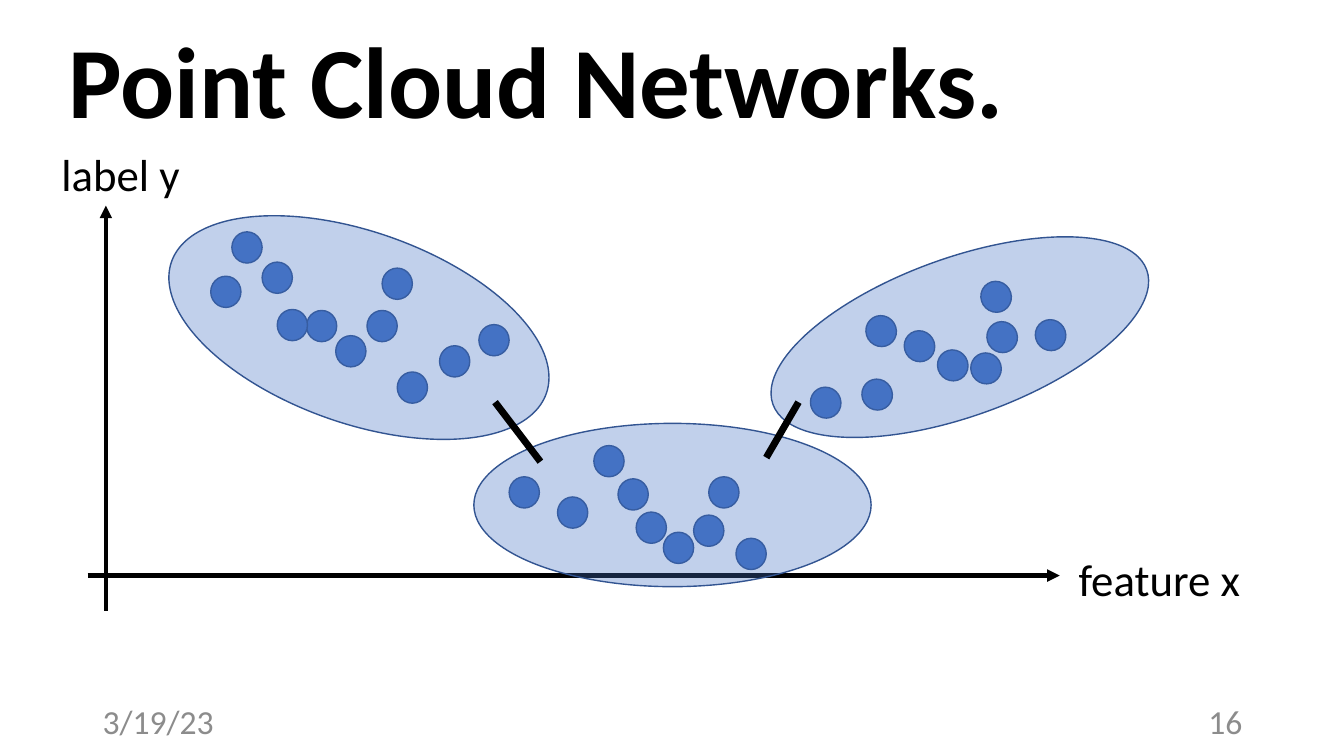
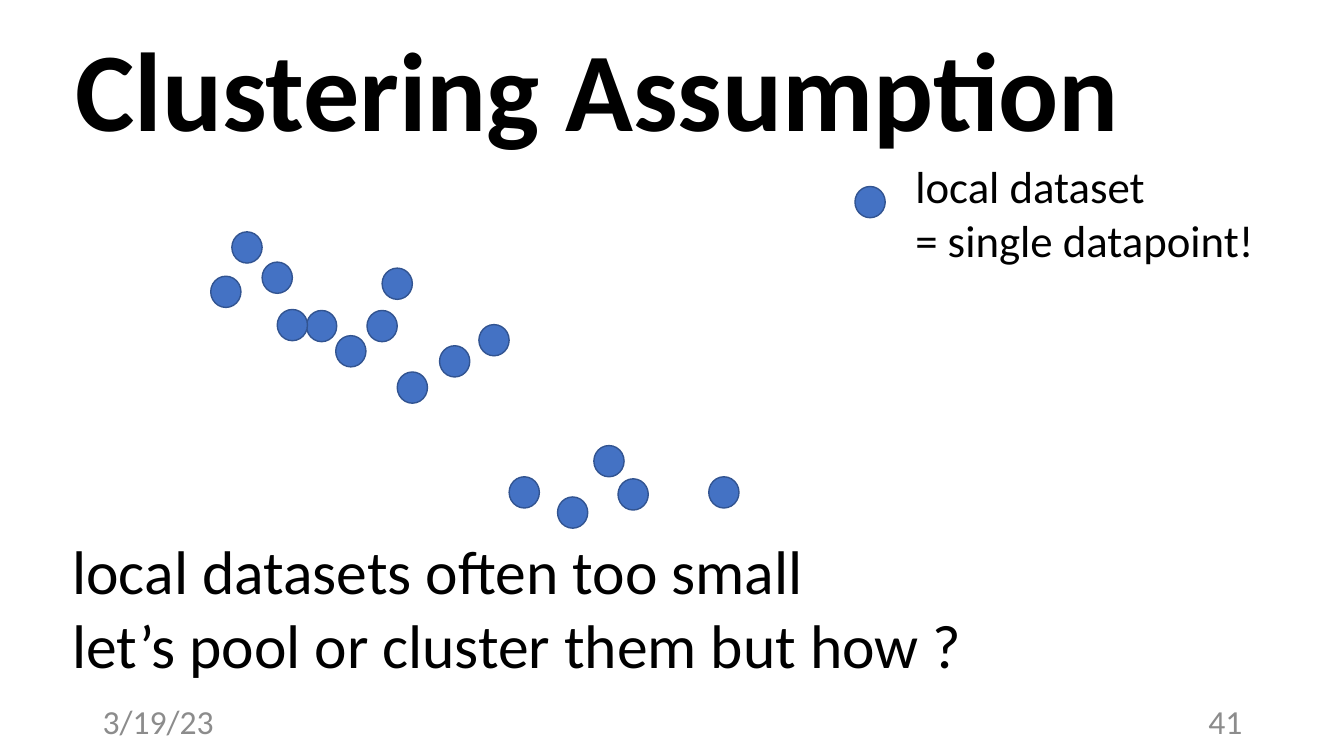
from lxml.etree import SubElement
from pptx import Presentation
from pptx.dml.color import RGBColor
from pptx.enum.shapes import MSO_CONNECTOR, MSO_SHAPE
from pptx.enum.text import MSO_ANCHOR, MSO_AUTO_SIZE, PP_ALIGN
from pptx.oxml.ns import qn
from pptx.util import Inches, Pt

COLORS = {"text": "000000", "footer": "8C8C8C", "point": "4472C4", "outline": "325491"}
FONT = "Calibri"
DATE = "3/19/23"
TITLE_ONLY = 5
POINT_SIZE = (0.3, 0.31)
CLUSTER_WIDTH = 3.94

# Top left corners of the points, in inches
LEFT_POINTS = [
    (2.09, 2.74), (3.04, 3.08), (3.94, 3.69), (4.75, 3.22), (3.64, 3.08), (2.6, 2.6),
    (4.36, 3.43), (3.79, 2.66), (2.3, 2.3), (2.75, 3.07), (3.33, 3.33),
]
MIDDLE_POINTS = [(5.05, 4.73), (5.89, 4.42), (7.03, 4.73), (5.53, 4.93), (6.13, 4.75)]
LOWER_POINTS = [(6.58, 5.28), (6.31, 5.08), (6.88, 5.11), (7.3, 5.34)]
RIGHT_POINTS = [
    (8.04, 3.84), (8.59, 3.13), (9.63, 3.5), (9.73, 2.79), (8.55, 3.76),
    (8.97, 3.28), (9.3, 3.47), (9.79, 3.19), (10.27, 3.17),
]


def color(name):
    return RGBColor.from_string(COLORS[name])


def format_text(frame, size, color_name="text", bold=False, align=PP_ALIGN.LEFT):
    for paragraph in frame.paragraphs:
        paragraph.alignment = align
        for span in paragraph.runs:
            span.font.name = FONT
            span.font.size = Pt(size)
            span.font.bold = bold
            span.font.color.rgb = color(color_name)


def add_text(page, text, left, top, width, height, size, **style):
    box = page.shapes.add_textbox(Inches(left), Inches(top), Inches(width), Inches(height))
    frame = box.text_frame
    frame.word_wrap = False
    frame.text = text
    format_text(frame, size, **style)
    return box


def add_footer(page, number):
    for text, left, align in ((DATE, 0.92, PP_ALIGN.LEFT), (number, 9.42, PP_ALIGN.RIGHT)):
        box = add_text(page, text, left, 6.95, 3, 0.4, 24, color_name="footer", align=align)
        box.text_frame.word_wrap = True
        box.text_frame.vertical_anchor = MSO_ANCHOR.MIDDLE


def add_page(deck, title, left, top, width, height, size, number):
    """Add a slide with its title and footer."""
    page = deck.slides.add_slide(deck.slide_layouts[TITLE_ONLY])
    heading = page.shapes.title
    heading.left, heading.top = Inches(left), Inches(top)
    heading.width, heading.height = Inches(width), Inches(height)
    frame = heading.text_frame
    frame.text = title
    frame.word_wrap = False
    frame.auto_size = MSO_AUTO_SIZE.NONE
    frame.vertical_anchor = MSO_ANCHOR.TOP
    format_text(frame, size, bold=True)
    add_footer(page, number)
    return page


def add_ellipse(page, left, top, width, height, rotation=0):
    ellipse = page.shapes.add_shape(
        MSO_SHAPE.OVAL, Inches(left), Inches(top), Inches(width), Inches(height))
    ellipse.rotation = rotation
    ellipse.shadow.inherit = False
    ellipse.fill.solid()
    ellipse.fill.fore_color.rgb = color("point")
    ellipse.line.color.rgb = color("outline")
    ellipse.line.width = Pt(1)
    return ellipse


def add_points(page, points, rotation=0):
    for left, top in points:
        add_ellipse(page, left, top, *POINT_SIZE, rotation)


def add_cluster(page, left, top, height, rotation=0):
    """Add a translucent ellipse around a group of points."""
    cluster = add_ellipse(page, left, top, CLUSTER_WIDTH, height, rotation)
    fill_color = cluster.fill._xPr.find(qn("a:solidFill"))[0]
    SubElement(fill_color, qn("a:alpha"), val="33000")


def add_line(page, start, end, width, arrow=False):
    line = page.shapes.add_connector(
        MSO_CONNECTOR.STRAIGHT, *(Inches(value) for value in (*start, *end)))
    line.line.color.rgb = color("text")
    line.line.width = Pt(width)
    if arrow:
        SubElement(line.line._get_or_add_ln(), qn("a:tailEnd"), type="triangle")
    SubElement(line._element.spPr, qn("a:effectLst"))


def build_networks(deck):
    page = add_page(deck, "Point Cloud Networks.", 0.58, 0.13, 9.57, 1.31, 72, "16")
    add_line(page, (0.87, 5.71), (10.51, 5.71), 3, arrow=True)
    add_line(page, (1.05, 6.06), (1.05, 2.04), 3, arrow=True)
    add_text(page, "feature x", 10.6, 5.42, 1.82, 0.64, 32)
    add_text(page, "label y", 0.51, 1.41, 1.39, 0.64, 32)
    add_points(page, LEFT_POINTS + MIDDLE_POINTS + LOWER_POINTS)
    add_points(page, RIGHT_POINTS, rotation=328.2)
    add_cluster(page, 1.59, 2.3, 1.9, rotation=19.4)
    add_cluster(page, 4.7, 4.2, 1.62)
    add_cluster(page, 7.55, 2.56, 1.57, rotation=340.2)
    add_line(page, (4.91, 3.99), (5.36, 4.58), 5)
    add_line(page, (7.92, 3.99), (7.6, 4.54), 5)


def build_assumption(deck):
    page = add_page(deck, "Clustering Assumption", 0.65, 0.14, 10.66, 1.45, 80, "41")
    add_points(page, LEFT_POINTS + MIDDLE_POINTS)
    add_text(page, "local datasets often too small\nlet’s pool or cluster them but how ?",
             0.62, 5.24, 9.26, 1.58, 44)
    add_points(page, [(8.48, 1.85)])
    add_text(page, "local dataset\n= single datapoint!", 8.98, 1.53, 3.7, 1.18, 32)


def main():
    deck = Presentation()
    deck.slide_width, deck.slide_height = Inches(13.33), Inches(7.5)
    build_networks(deck)
    build_assumption(deck)
    deck.save("out.pptx")


if __name__ == "__main__":
    main()
